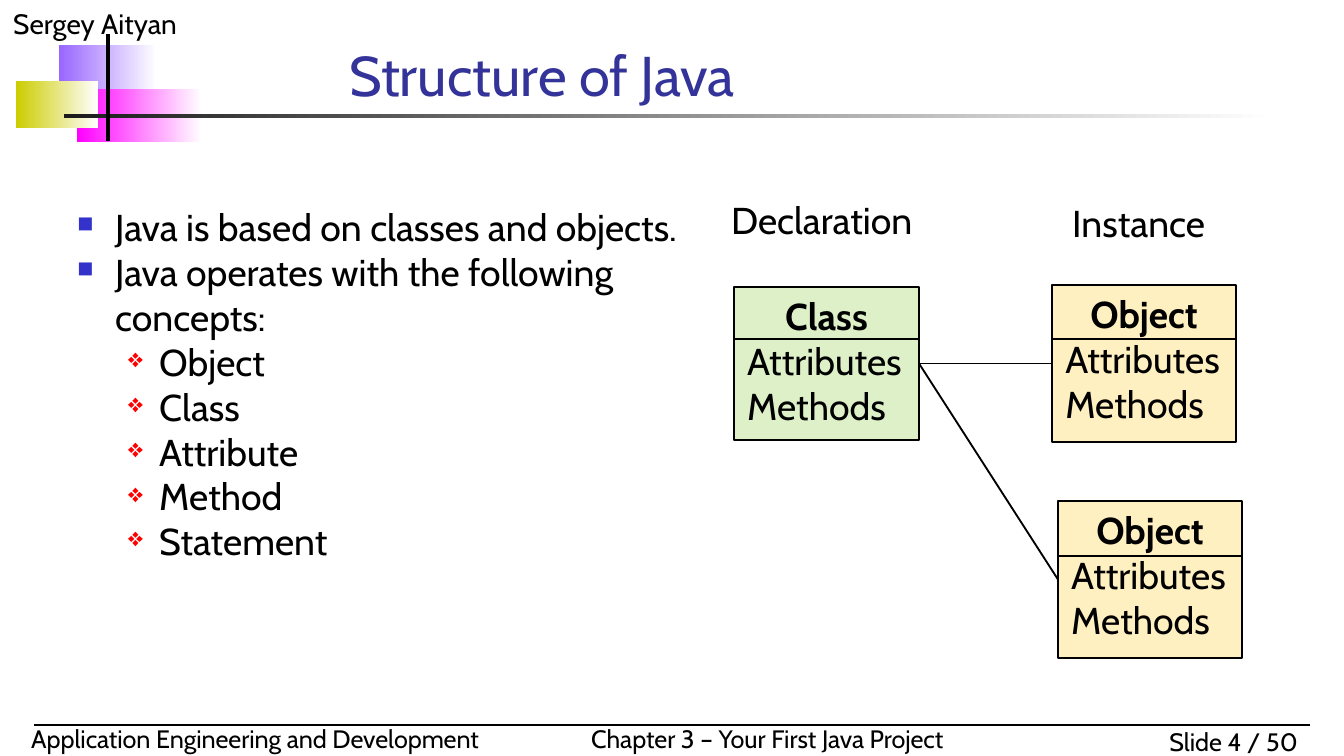
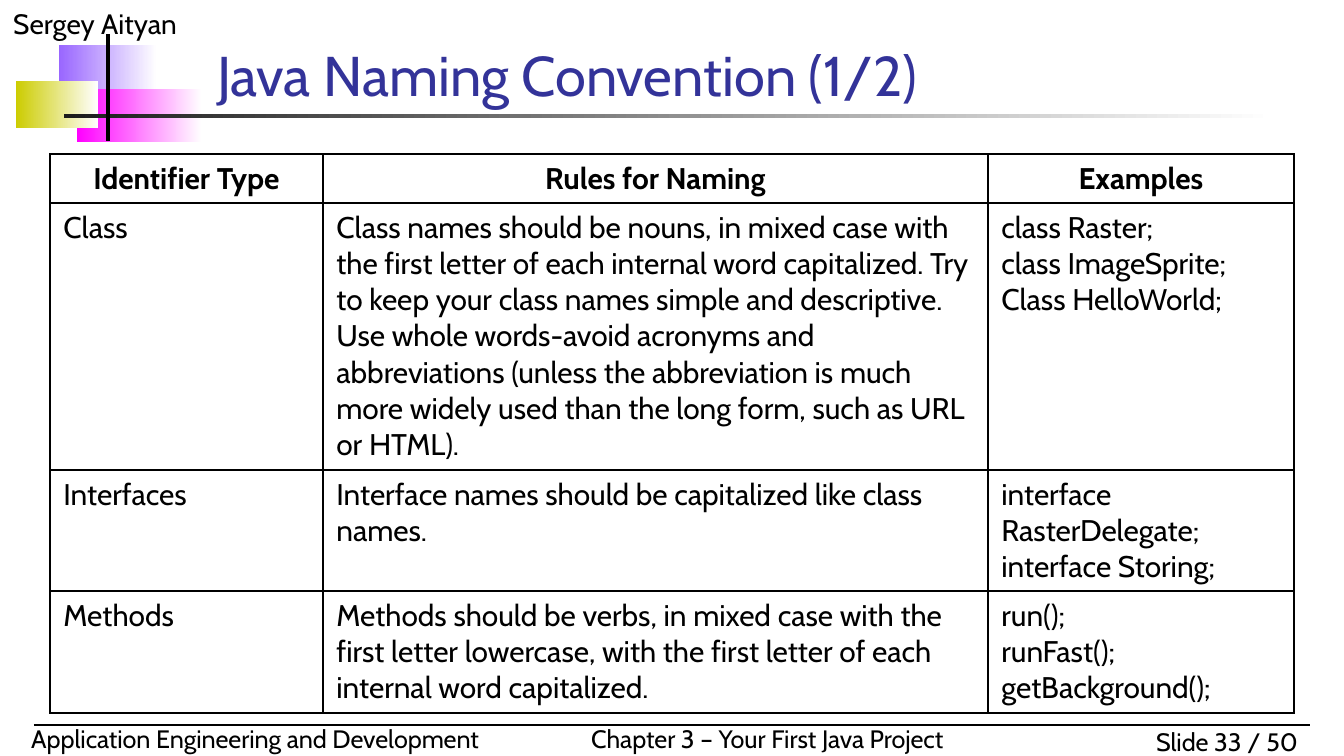
from lxml import etree
from pptx import Presentation
from pptx import util as u
from pptx.dml.color import RGBColor
from pptx.enum import shapes, text
from pptx.oxml import ns

PX = 914400 / 134.4
FONT = "Cabin"
COLORS = {
    "black": "000000", "white": "FFFFFF", "title": "333399", "violet": "9966FF",
    "magenta": "FF00FF", "olive": "CCCC00", "rule": "1C1C1C", "class": "DDF0C8",
    "object": "FFF0C1", "square": "3333CC", "diamond": "FF0000",
}
COLORS = {name: RGBColor.from_string(value) for name, value in COLORS.items()}
LEFT, CENTER, RIGHT = text.PP_ALIGN.LEFT, text.PP_ALIGN.CENTER, text.PP_ALIGN.RIGHT
RECTANGLE = shapes.MSO_SHAPE.RECTANGLE


def add_text(slide, content, box, size, color="black", align=LEFT):
    shape = slide.shapes.add_textbox(*[round(n * PX) for n in box])
    shape.text_frame.word_wrap = True
    shape.text_frame.text = content
    for paragraph in shape.text_frame.paragraphs:
        paragraph.alignment = align
        for run in paragraph.runs:
            run.font.name, run.font.size = FONT, u.Pt(size)
            run.font.color.rgb = COLORS[color]
    return shape


def add_line(slide, ends, width):
    line = slide.shapes.add_connector(shapes.MSO_CONNECTOR.STRAIGHT, *[round(n * PX) for n in ends])
    line.line.color.rgb = COLORS["black"]
    line.line.width = u.Pt(width)
    etree.SubElement(line._element.spPr, ns.qn("a:effectLst"))
    return line


presentation = Presentation()
presentation.slide_width = round(1344 * PX)
presentation.slide_height = round(756 * PX)

bands = [
    ("violet", (59, 45, 98, 52)),
    ("magenta", (77, 89, 125, 53)),
    ("olive", (16, 81, 82, 47)),
    ("rule", (64, 114, 1210, 4)),
]
titles = [("Structure of Java", 336, 4), ("Java Naming Convention (1/2)", 204, 33)]
slides = []
for title, left, number in titles:
    slide = presentation.slides.add_slide(presentation.slide_layouts[6])
    slides.append(slide)
    for color, box in bands:
        band = slide.shapes.add_shape(RECTANGLE, *[round(n * PX) for n in box])
        band.shadow.inherit = False
        band.line.fill.background()
        band.fill.gradient()
        band.fill.gradient_angle = 0
        for stop, stop_color in zip(band.fill.gradient_stops, (color, "white")):
            stop.color.rgb = COLORS[stop_color]
    add_text(slide, "Sergey Aityan", (0, 0, 336, 47), 15)
    add_text(slide, f"Slide {number} / 50", (1109, 720, 202, 44), 13.5, align=RIGHT)
    add_text(slide, "Application Engineering and Development", (18, 717, 508, 44), 13.5)
    add_text(slide, "Chapter 3 – Your First Java Project", (578, 717, 430, 44), 13.5)
    add_line(slide, (34, 725, 1310, 725), 0.75)
    add_line(slide, (108, 34, 108, 141), 2)
    heading = add_text(slide, title, (left, 42, 1192 - left, 72), 30, "title")
    heading.text_frame.vertical_anchor = text.MSO_ANCHOR.BOTTOM

structure, naming = slides

statements = ["Java is based on classes and objects.", "Java operates with the following concepts:"]
concepts = ["Object", "Class", "Attribute", "Method", "Statement"]
body = add_text(structure, "\n".join(statements + concepts), (64, 198, 630, 284), 20)
for index, paragraph in enumerate(body.text_frame.paragraphs):
    if index < len(statements):
        level, margin, hanging, symbol, color, percent = 0, 38, 38, "■", "square", 60
    else:
        level, margin, hanging, symbol, color, percent = 1, 82, 31, "❖", "diamond", 70
    paragraph.level = level
    properties = paragraph._p.get_or_add_pPr()
    properties.set("marL", str(round(margin * PX)))
    properties.set("indent", str(round(-hanging * PX)))
    bullet_color = etree.SubElement(properties, ns.qn("a:buClr"))
    etree.SubElement(bullet_color, ns.qn("a:srgbClr"), val=str(COLORS[color]))
    etree.SubElement(properties, ns.qn("a:buSzPct"), val=str(percent * 1000))
    etree.SubElement(properties, ns.qn("a:buChar"), char=symbol)

boxes = []
for name, color, left, top, width, height, divider in [
    ("Class", "class", 734, 287, 185, 153, 52),
    ("Object", "object", 1052, 285, 184, 157, 54),
    ("Object", "object", 1058, 501, 184, 157, 55),
]:
    box = structure.shapes.add_shape(RECTANGLE, *[round(n * PX) for n in (left, top, width, height)])
    box.shadow.inherit = False
    box.fill.solid()
    box.fill.fore_color.rgb = COLORS[color]
    box.line.color.rgb = COLORS["black"]
    box.line.width = u.Pt(0.75)
    frame = box.text_frame
    frame.word_wrap = False
    frame.vertical_anchor = text.MSO_ANCHOR.TOP
    frame.text = f"{name}\nAttributes\nMethods"
    for index, paragraph in enumerate(frame.paragraphs):
        paragraph.alignment = LEFT if index else CENTER
        font = paragraph.runs[0].font
        font.name, font.size, font.bold = FONT, u.Pt(20), index == 0
        font.color.rgb = COLORS["black"]
    add_line(structure, (left, top + divider, left + width, top + divider), 1)
    boxes.append(box)

class_box, *object_boxes = boxes
for object_box in object_boxes:
    link = add_line(structure, (0, 0, 1, 1), 1)
    link.begin_connect(class_box, 3)
    link.end_connect(object_box, 1)
add_text(structure, "Declaration", (718, 191, 218, 59), 20)
add_text(structure, "Instance", (1059, 194, 172, 59), 20)

rows = [
    ("Identifier Type", "Rules for Naming", "Examples"),
    ("Class",
     "Class names should be nouns, in mixed case with the first letter of each internal word "
     "capitalized. Try to keep your class names simple and descriptive. Use whole words-avoid "
     "acronyms and abbreviations (unless the abbreviation is much more widely used than the "
     "long form, such as URL or HTML).",
     "class Raster; \vclass ImageSprite;\nClass HelloWorld;"),
    ("Interfaces", "Interface names should be capitalized like class names.",
     "interface RasterDelegate; \vinterface Storing;"),
    ("Methods",
     "Methods should be verbs, in mixed case with the first letter lowercase, with the first "
     "letter of each internal word capitalized.",
     "run(); \vrunFast(); \vgetBackground();"),
]
widths, heights = [273, 665, 306], [49, 267, 121, 122]
frame = naming.shapes.add_table(
    len(rows), len(widths), *[round(n * PX) for n in (50, 154, sum(widths), sum(heights))])
table = frame.table
table.first_row = table.horz_banding = False
for column, width in zip(table.columns, widths):
    column.width = round(width * PX)
for row_index, (row, height) in enumerate(zip(rows, heights)):
    table.rows[row_index].height = round(height * PX)
    for column_index, content in enumerate(row):
        cell = table.cell(row_index, column_index)
        cell.text_frame.text = content
        for paragraph in cell.text_frame.paragraphs:
            paragraph.alignment = LEFT if row_index else CENTER
            for run in paragraph.runs:
                run.font.name, run.font.size = FONT, u.Pt(16)
                run.font.bold = row_index == 0
                run.font.color.rgb = COLORS["black"]
        properties = cell._tc.get_or_add_tcPr()
        for side in ("lnL", "lnR", "lnT", "lnB"):
            border = etree.SubElement(properties, ns.qn(f"a:{side}"), w=str(u.Pt(1)))
            fill = etree.SubElement(border, ns.qn("a:solidFill"))
            etree.SubElement(fill, ns.qn("a:srgbClr"), val=str(COLORS["black"]))
        cell.fill.background()

presentation.save("out.pptx")
